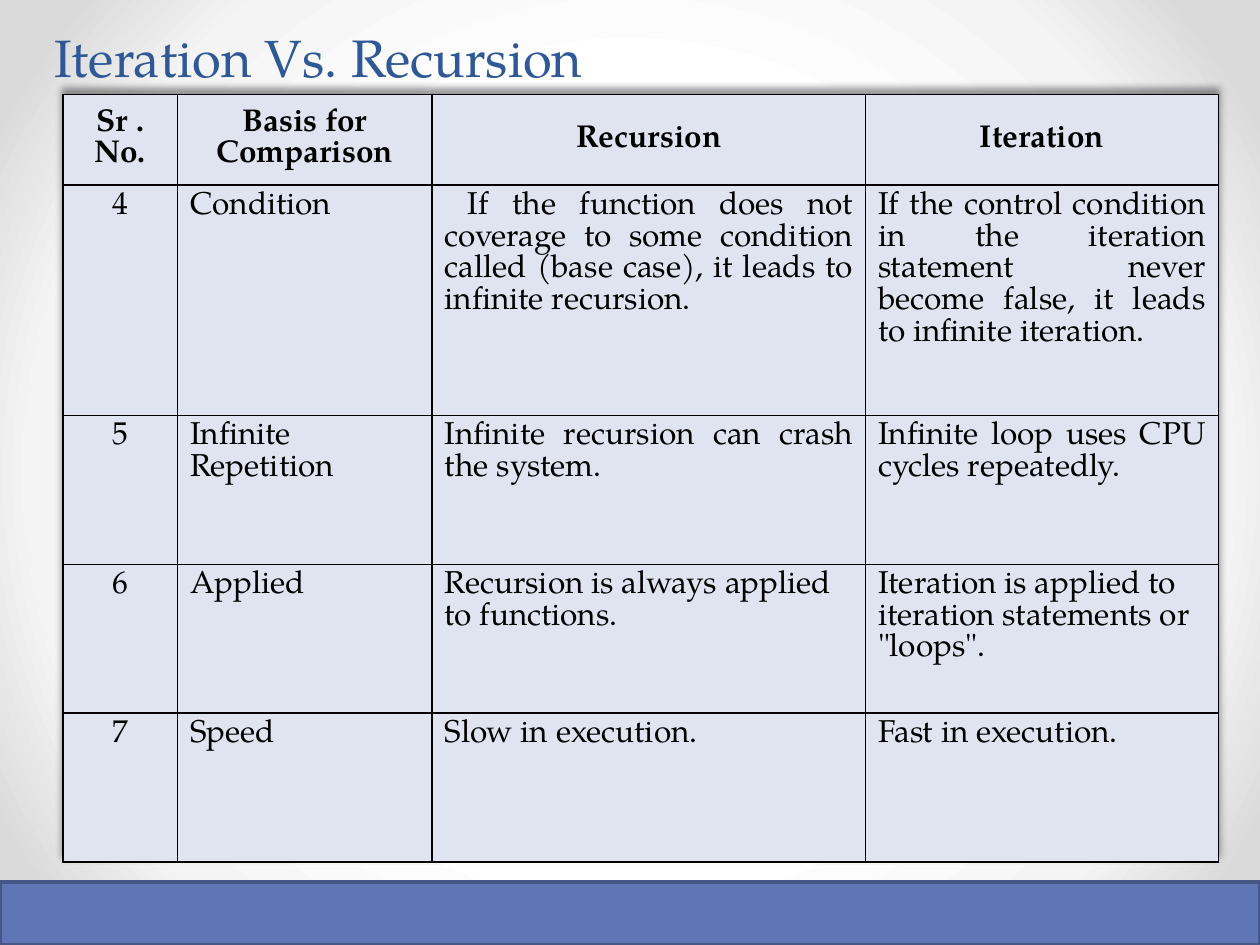
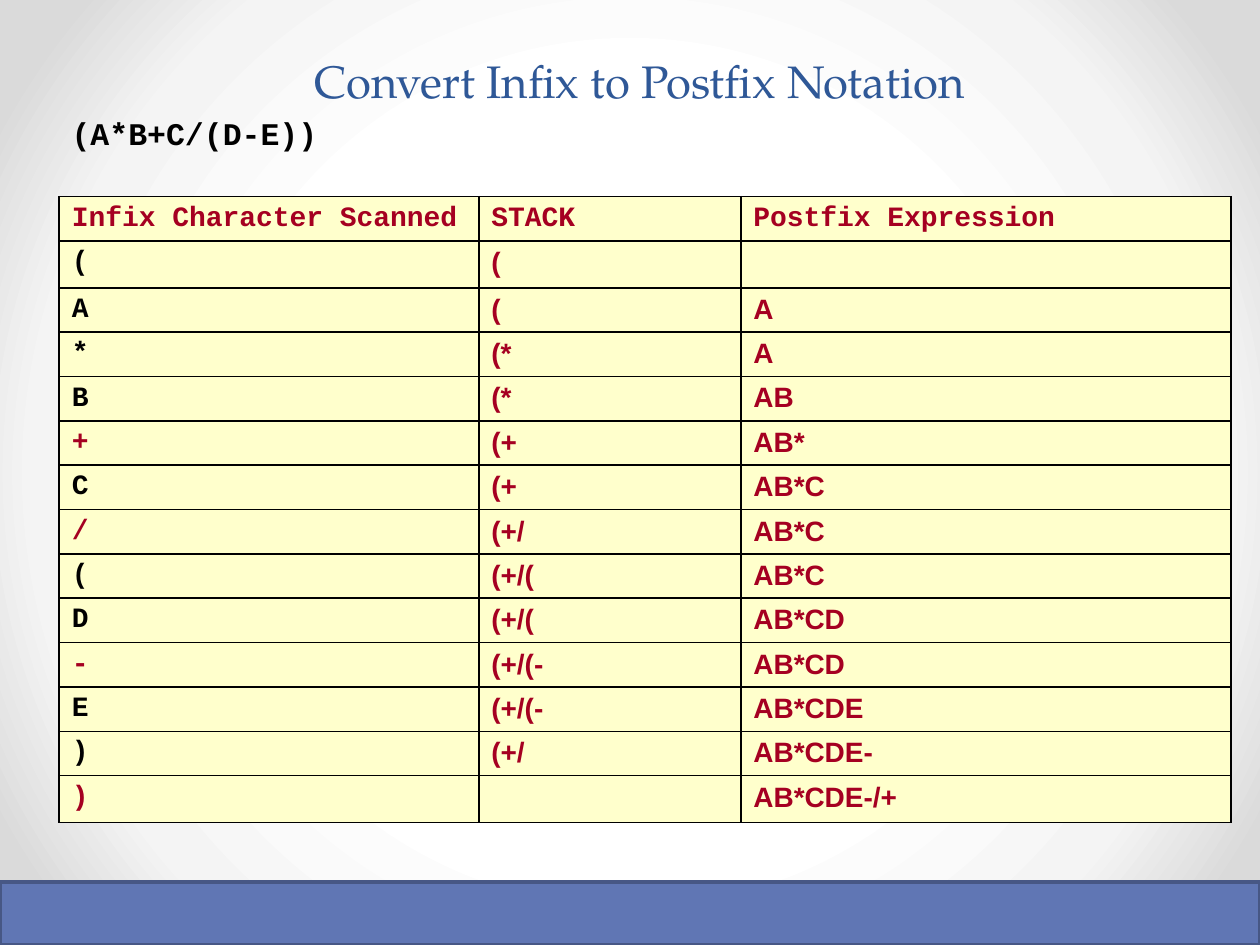
"""Build two slides: iteration against recursion, and infix to postfix conversion."""
from lxml import etree
from pptx import Presentation
from pptx import util as u
from pptx.dml.color import RGBColor
from pptx.enum import shapes, text
from pptx.oxml import parse_xml
from pptx.oxml.ns import qn

COLOURS = {
    "title": "2F5897", "band": "6076B4", "band_line": "475785",
    "ink": "000000", "red": "A50021", "blue_cell": "DFE4F0", "yellow_cell": "FFFFCC",
}
BACKGROUND = [(50, "FFFFFF"), (76, "F4F4F4"), (92, "DADADA")]
SERIF, MONO, SANS = "TeX Gyre Pagella", "Courier New", "Arial"
LEFT, CENTRE, JUSTIFY = text.PP_ALIGN.LEFT, text.PP_ALIGN.CENTER, text.PP_ALIGN.JUSTIFY
WIDTH, HEIGHT = 10, 7.5
BAND_SHARE = 1 / 15
DRAWING = "http://schemas.openxmlformats.org/drawingml/2006/main"

COMPARISON = [
    ("Sr . No.", "Basis for Comparison", "Recursion", "Iteration"),
    ("4", "Condition",
     " If the function does not coverage to some condition called (base case), "
     "it leads to infinite recursion.",
     "If the control condition in the iteration statement never become false, "
     "it leads to infinite iteration."),
    ("5", "Infinite Repetition", "Infinite recursion can crash the system.",
     "Infinite loop uses CPU cycles repeatedly."),
    ("6", "Applied", "Recursion is always applied to functions.",
     'Iteration is applied to iteration statements or "loops".'),
    ("7", "Speed", "Slow in execution.", "Fast in execution."),
]
COMPARISON_COLUMNS = [0.91, 2.02, 3.44, 2.8]
COMPARISON_ROWS = [0.72, 1.83] + [1.18] * 3
JUSTIFIED_ROWS = (1, 2)

EXPRESSION = "(A*B+C/(D-E))"
CONVERSION = [
    ("Infix Character Scanned", "STACK", "Postfix Expression"),
    ("(", "(", ""),
    ("A", "(", "A"),
    ("*", "(*", "A"),
    ("B", "(*", "AB"),
    ("+", "(+", "AB*"),
    ("C", "(+", "AB*C"),
    ("/", "(+/", "AB*C"),
    ("(", "(+/(", "AB*C"),
    ("D", "(+/(", "AB*CD"),
    ("-", "(+/(-", "AB*CD"),
    ("E", "(+/(-", "AB*CDE"),
    (")", "(+/", "AB*CDE-"),
    (")", "", "AB*CDE-/+"),
]
CONVERSION_COLUMNS = [3.33, 2.08, 3.89]
CONVERSION_ROWS = [0.35] * len(CONVERSION)
RED_SCANNED_ROWS = (0, 5, 7, 10, 13)


def colour(name):
    return RGBColor.from_string(COLOURS[name])


def format_text(para, font, size, ink, bold=False, align=LEFT):
    para.alignment = align
    for span in para.runs:
        span.font.name, span.font.size, span.font.bold = font, u.Pt(size), bold
        span.font.color.rgb = colour(ink)
    if not para.runs:
        etree.SubElement(para._p, qn("a:endParaRPr"), sz=str(size * 100))


def paint_background(master):
    master.background.fill.solid()
    properties = master._element.cSld.find(qn("p:bg")).find(qn("p:bgPr"))
    stops = "".join(f'<a:gs pos="{share * 1000}"><a:srgbClr val="{shade}"/></a:gs>'
                    for share, shade in BACKGROUND)
    gradient = parse_xml(
        f'<a:gradFill xmlns:a="{DRAWING}" rotWithShape="1"><a:gsLst>{stops}</a:gsLst>'
        '<a:path path="circle"><a:fillToRect l="50000" t="50000" r="50000" b="50000"/>'
        '</a:path></a:gradFill>')
    properties.replace(properties.find(qn("a:solidFill")), gradient)


def add_page(deck, title, left, top, size, align):
    page = deck.slides.add_slide(deck.slide_layouts[5])
    box = page.shapes.title
    box.left, box.top, box.width, box.height = map(u.Inches, (left, top, 9, 0.75))
    box.text_frame.text = title
    box.text_frame.vertical_anchor = text.MSO_ANCHOR.MIDDLE
    para = box.text_frame.paragraphs[0]
    para.line_spacing = u.Pt(58)
    format_text(para, SERIF, size, "title", align=align)

    band_height = HEIGHT * BAND_SHARE
    band = page.shapes.add_shape(
        shapes.MSO_SHAPE.RECTANGLE, 0, u.Inches(HEIGHT - band_height),
        u.Inches(WIDTH), u.Inches(band_height))
    band.shadow.inherit = False
    band.fill.solid()
    band.fill.fore_color.rgb = colour("band")
    band.line.color.rgb = colour("band_line")
    band.line.width = u.Pt(2.25)
    return page


def add_borders(cell):
    properties = cell._tc.get_or_add_tcPr()
    for place, side in enumerate(("lnL", "lnR", "lnT", "lnB")):
        properties.insert(place, parse_xml(
            f'<a:{side} xmlns:a="{DRAWING}" w="{u.Pt(1)}"><a:solidFill>'
            f'<a:srgbClr val="{COLOURS["ink"]}"/></a:solidFill></a:{side}>'))


def add_grid(page, content, left, top, columns, rows, fill, style):
    frame = page.shapes.add_table(
        len(rows), len(columns), u.Inches(left), u.Inches(top),
        u.Inches(sum(columns)), u.Inches(sum(rows)))
    table = frame.table
    table.first_row = table.horz_banding = False
    for column, width in zip(table.columns, columns):
        column.width = u.Inches(width)
    for row, height in zip(table.rows, rows):
        row.height = u.Inches(height)
    for r, line in enumerate(content):
        for c, words in enumerate(line):
            cell = table.cell(r, c)
            cell.text_frame.text = words
            format_text(cell.text_frame.paragraphs[0], **style(r, c))
            cell.fill.solid()
            cell.fill.fore_color.rgb = colour(fill)
            add_borders(cell)
    return table


def comparison_style(row, column):
    if row == 0 or column == 0:
        align = CENTRE
    else:
        align = JUSTIFY if row in JUSTIFIED_ROWS else LEFT
    return dict(font=SERIF, size=18, ink="ink", bold=row == 0, align=align)


def conversion_style(row, column):
    black = column == 0 and row not in RED_SCANNED_ROWS
    return dict(font=MONO if row == 0 or column == 0 else SANS, size=16,
                ink="ink" if black else "red", bold=True,
                align=LEFT if column == 0 and row < 2 else JUSTIFY)


def add_table_shadow(table):
    table._tbl.tblPr.insert(0, parse_xml(
        f'<a:effectLst xmlns:a="{DRAWING}"><a:outerShdw blurRad="50800" dist="38100" '
        'dir="16200000" rotWithShape="0"><a:srgbClr val="000000"><a:alpha val="40000"/>'
        '</a:srgbClr></a:outerShdw></a:effectLst>'))


def main():
    deck = Presentation()
    deck.slide_width, deck.slide_height = u.Inches(WIDTH), u.Inches(HEIGHT)
    paint_background(deck.slide_master)

    page = add_page(deck, "Iteration Vs. Recursion", 0.33, -0.08, 30, LEFT)
    table = add_grid(page, COMPARISON, 0.5, 0.75, COMPARISON_COLUMNS, COMPARISON_ROWS,
                     "blue_cell", comparison_style)
    add_table_shadow(table)
    for cell in table.rows[0].cells:
        cell.vertical_anchor = text.MSO_ANCHOR.MIDDLE

    page = add_page(deck, "Convert Infix to Postfix Notation", 0.58, 0.08, 26, CENTRE)
    add_grid(page, CONVERSION, 0.47, 1.56, CONVERSION_COLUMNS, CONVERSION_ROWS,
             "yellow_cell", conversion_style)
    box = page.shapes.add_textbox(*map(u.Inches, (0.47, 0.86, 2.16, 0.4)))
    box.text_frame.word_wrap = False
    box.text_frame.auto_size = text.MSO_AUTO_SIZE.SHAPE_TO_FIT_TEXT
    box.text_frame.text = EXPRESSION
    format_text(box.text_frame.paragraphs[0], MONO, 18, "ink", True, JUSTIFY)

    deck.save("out.pptx")


if __name__ == "__main__":
    main()
